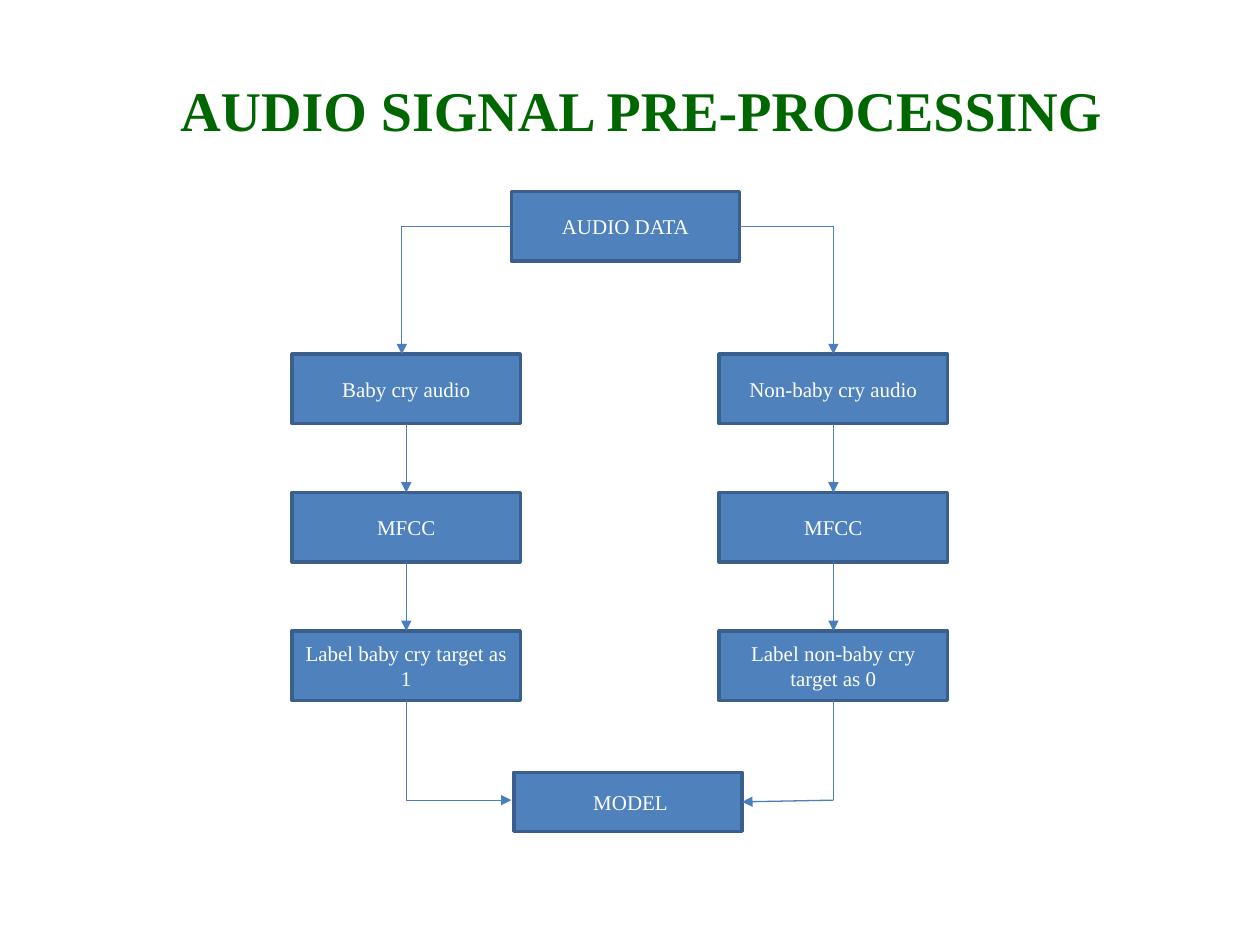
from itertools import pairwise
from lxml.etree import SubElement
from pptx import Presentation
from pptx.dml.color import RGBColor
from pptx.enum.shapes import MSO_CONNECTOR, MSO_SHAPE
from pptx.enum.text import MSO_ANCHOR, PP_ALIGN
from pptx.oxml.ns import qn
from pptx.util import Cm, Pt

# Content
TITLE = "AUDIO SIGNAL PRE-PROCESSING"
START, END = "AUDIO DATA", " MODEL"
BRANCHES = [
    ["Baby cry audio", "MFCC", "Label baby cry target as 1"],
    ["Non-baby cry audio", "MFCC", "Label non-baby cry target as 0"],
]


class Theme:
    font = "Times New Roman"
    title, body = Pt(32), Pt(12)
    green = RGBColor.from_string("006600")
    white = RGBColor.from_string("FFFFFF")
    fill = RGBColor.from_string("4F81BD")
    edge = RGBColor.from_string("3A5F8C")
    wire = RGBColor.from_string("4B7EBC")


# Layout in centimetres
WIDE, HIGH = 4.6, 1.4
COLS = [5.89, 14.5]
ROWS = [7.14 + 2.79 * i for i in range(3)]
START_X, START_Y = 10.31, 3.86
END_X, END_Y, END_HIGH = 10.36, 15.57, 1.19
FORK_Y, JOIN_Y = START_Y + HIGH / 2, 16.13
DROPS = [8.1, 16.8]

deck = Presentation()
deck.slide_width, deck.slide_height = Cm(25.4), Cm(19.05)
slide = deck.slides.add_slide(deck.slide_layouts[6])
shapes = slide.shapes


def write(shape, text, size, color, bold=False):
    frame = shape.text_frame
    frame.text = text
    frame.word_wrap = True
    frame.vertical_anchor = MSO_ANCHOR.MIDDLE
    para = frame.paragraphs[0]
    para.alignment = PP_ALIGN.CENTER
    font = para.runs[0].font
    font.name, font.size, font.bold = Theme.font, size, bold
    font.color.rgb = color


def add_box(text, x, y, high=HIGH):
    box = shapes.add_shape(MSO_SHAPE.RECTANGLE, Cm(x), Cm(y), Cm(WIDE), Cm(high))
    box.shadow.inherit = False
    box.fill.solid()
    box.fill.fore_color.rgb = Theme.fill
    box.line.color.rgb = Theme.edge
    box.line.width = Pt(2)
    write(box, text, Theme.body, Theme.white)


def add_line(x1, y1, x2, y2, arrow=False):
    line = shapes.add_connector(
        MSO_CONNECTOR.STRAIGHT, Cm(x1), Cm(y1), Cm(x2), Cm(y2))
    line.line.color.rgb = Theme.wire
    line.line.width = Pt(0.75)
    if arrow:
        SubElement(line.line._get_or_add_ln(), qn("a:tailEnd"), type="triangle")
    SubElement(line._element.spPr, qn("a:effectLst"))


# Title
title = shapes.add_textbox(Cm(1.5), Cm(1.07), Cm(22.86), Cm(2.26))
write(title, TITLE, Theme.title, Theme.green, bold=True)

# Start and end boxes
add_box(START, START_X, START_Y)
add_box(END, END_X, END_Y, END_HIGH)

# Branches: boxes and the arrows between them
for x, steps in zip(COLS, BRANCHES):
    mid = x + WIDE / 2
    for y, step in zip(ROWS, steps):
        add_box(step, x, y)
    for top, low in pairwise(ROWS):
        add_line(mid, top + HIGH, mid, low, arrow=True)
    add_line(mid, ROWS[-1] + HIGH, mid, JOIN_Y)

# Fork from the start box
for side, drop in zip([START_X, START_X + WIDE], DROPS):
    add_line(side, FORK_Y, drop, FORK_Y)
    add_line(drop, FORK_Y, drop, ROWS[0], arrow=True)

# Join into the end box
tips = [(START_X, JOIN_Y), (END_X + WIDE, END_Y + END_HIGH / 2)]
for x, tip in zip(COLS, tips):
    add_line(x + WIDE / 2, JOIN_Y, *tip, arrow=True)

deck.save("out.pptx")
